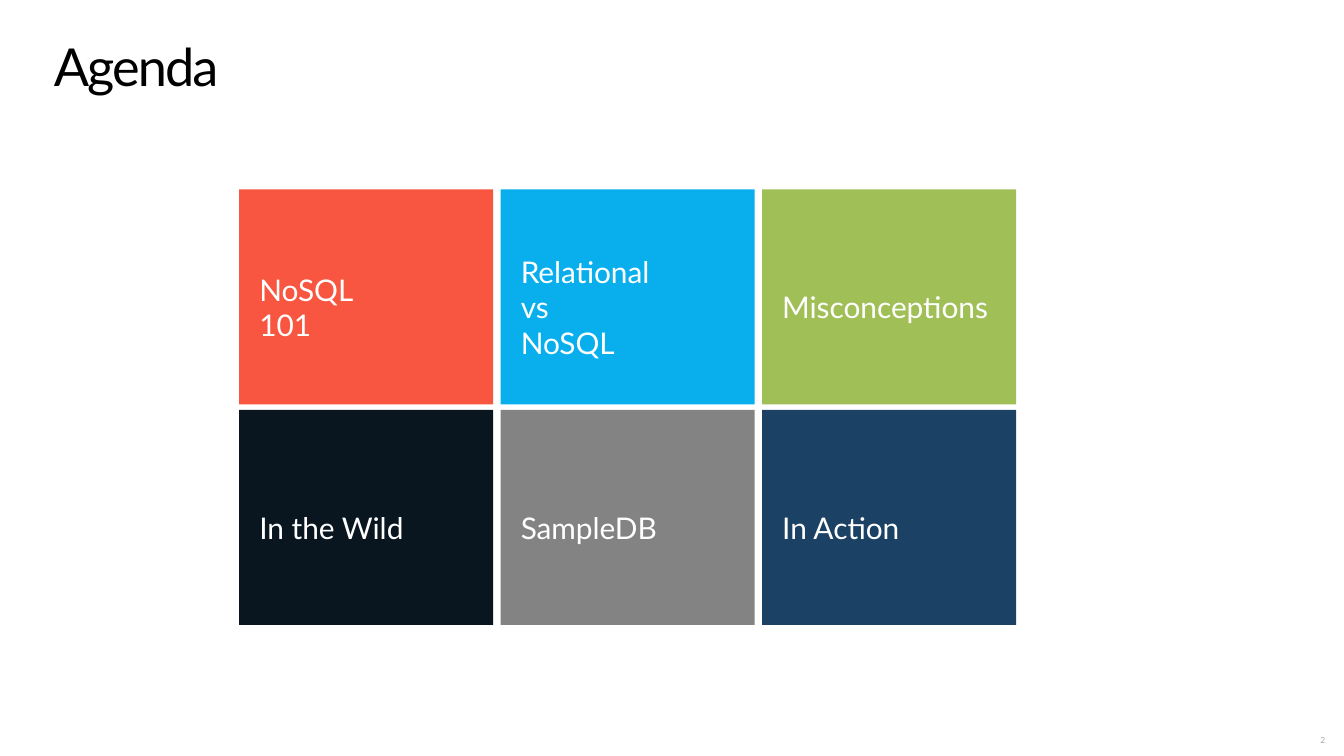
from pptx import Presentation
from pptx.dml.color import RGBColor
from pptx.enum.shapes import MSO_SHAPE
from pptx.enum.text import MSO_ANCHOR, PP_ALIGN
from pptx.util import Inches, Pt


def color(code):
    return RGBColor.from_string(code)


def write(shape, text, size=16, ink="FFFFFF", align=PP_ALIGN.LEFT,
          anchor=MSO_ANCHOR.MIDDLE, pad=(0.15, 0.15, 0.15, 0.15),
          space=None, track=None):
    frame = shape.text_frame
    frame.word_wrap = True
    frame.vertical_anchor = anchor
    (frame.margin_left, frame.margin_top,
     frame.margin_right, frame.margin_bottom) = [Inches(p) for p in pad]
    frame.text = text
    for para in frame.paragraphs:
        para.alignment = align
        para.line_spacing = space
        for run in para.runs:
            run.font.name = "Lato"
            run.font.size = Pt(size)
            run.font.color.rgb = color(ink)
            if track is not None:
                run.font._element.set("spc", str(track * 100))


# Widescreen page, 16 to 9
deck = Presentation()
deck.slide_width, deck.slide_height = Inches(10), Inches(10 * 9 / 16)
slide = deck.slides.add_slide(deck.slide_layouts[5])

# Title
title = slide.shapes.title
title.left, title.top = Inches(0.25), Inches(0.23)
title.width, title.height = Inches(9.5), Inches(0.56)
write(title, "Agenda", size=28, ink="000000", anchor=MSO_ANCHOR.TOP,
      pad=(0.15, 0.08, 0.15, 0.05), space=0.9, track=-1)

# Agenda tiles, three to a row
tiles = [
    ("NoSQL\n101", "F85640"),
    ("Relational\nvs\nNoSQL", "09AFED"),
    ("Misconceptions", "A0C057"),
    ("In the Wild", "091620"),
    ("SampleDB", "838383"),
    ("In Action", "1B4164"),
]
left, right, top = 1.78, 5.67, 1.41
wide, high, gap = 1.89, 1.6, 0.04
step = (right - left) / 2
for i, (text, fill) in enumerate(tiles):
    row, col = divmod(i, 3)
    tile = slide.shapes.add_shape(
        MSO_SHAPE.RECTANGLE, Inches(left + col * step),
        Inches(top + row * (high + gap)), Inches(wide), Inches(high))
    tile.shadow.inherit = False
    tile.fill.solid()
    tile.fill.fore_color.rgb = color(fill)
    tile.line.fill.background()
    # The deeper top inset sets the label just below the middle
    write(tile, text, pad=(0.15, 0.3, 0.15, 0.15))

# Page number
page = slide.shapes.add_textbox(
    Inches(7.63), Inches(5.43), Inches(2.33), Inches(0.16))
write(page, "2", size=4.5, ink="A6A6A6", align=PP_ALIGN.RIGHT,
      pad=(0.1, 0.05, 0.1, 0.05))

deck.save("out.pptx")
